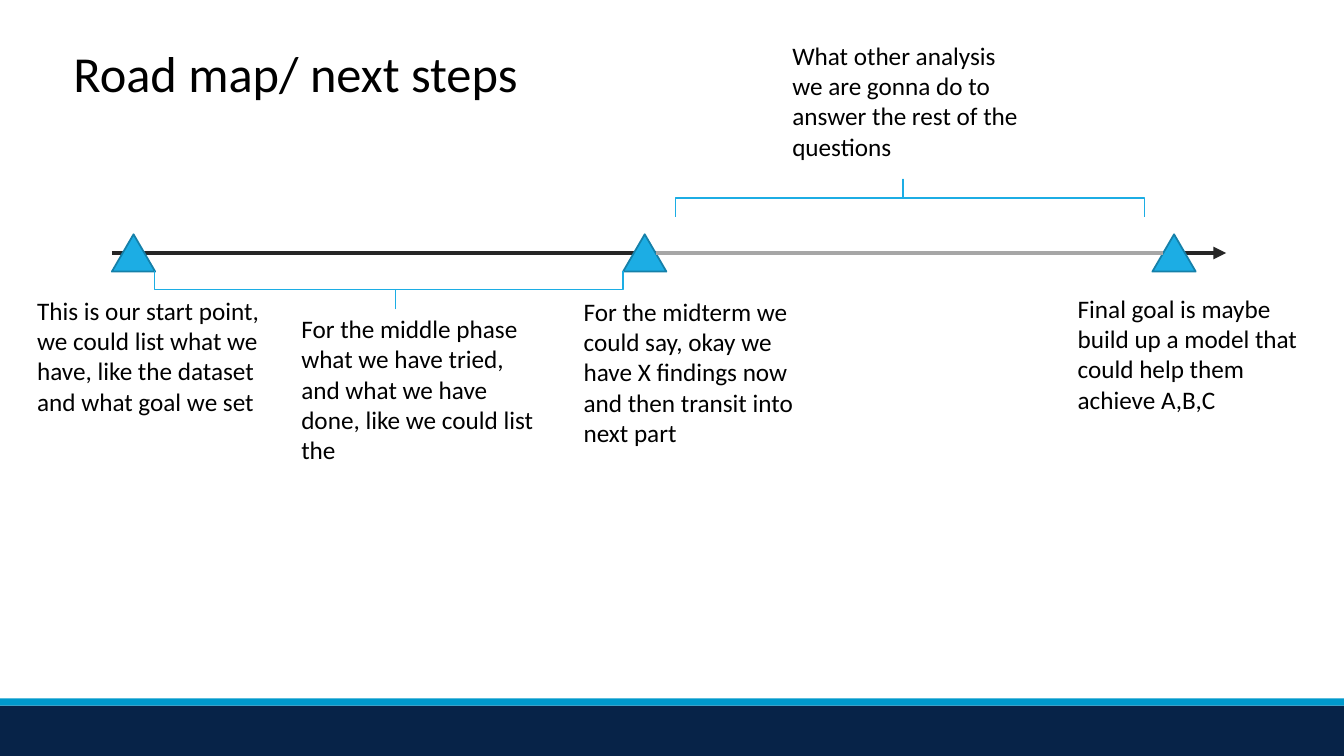
"""Build a road map slide with three milestones on a timeline."""
import pptx
import pptx.util
import pptx.dml.color
import pptx.enum.shapes
import pptx.oxml
import lxml.etree
from dataclasses import dataclass

TITLE = ("Road map/ next steps", 0.63, 0.37, 11.02, 0.71)
NOTES = [
    ("This is our start point, we could list what we have, like the dataset and what goal we set", 0.27, 2.88, 4),
    ("For the middle phase what we have tried, and what we have done, like we could list the", 2.89, 3.06, 5),
    ("For the midterm we could say, okay we have X findings now and then transit into next part", 5.69, 2.89, 5),
    ("Final goal is maybe build up a model that could help them achieve A,B,C", 10.59, 2.86, 4),
    ("What other analysis we are gonna do to answer the rest of the questions", 7.76, 0.35, 4),
]
MILESTONES = [1.11, 6.18, 11.43]
BRACES = [(3.855, 2.875, 90), (9.025, 1.965, 270)]
BANDS = [(7, 0.5, "navy"), (6.93, 0.07, "teal")]

WIDTH, HEIGHT = 13.33, 7.5
AXIS, AXIS_END = 2.51, 12.16
MARK_WIDTH, MARK_HEIGHT = 0.43, 0.37
BRACE_DEPTH, BRACE_SPAN = 0.37, 4.65
NOTE_WIDTH, LINE_HEIGHT, PADDING = 2.53, 0.303, 0.1


@dataclass(frozen=True)
class Theme:
    """Colours, font and type sizes of the slide."""
    navy: str = "072348"
    teal: str = "0099CC"
    accent: str = "1CADE4"
    edge: str = "1580A9"
    dark: str = "262626"
    grey: str = "A6A6A6"
    text: str = "000000"
    font: str = "Calibri"
    title_size: int = 36
    note_size: int = 18


THEME = Theme()
KIND = pptx.enum.shapes.MSO_SHAPE
inch = pptx.util.Inches


def colour(value):
    """Turn a hex string into a colour."""
    return pptx.dml.color.RGBColor.from_string(value)


def add_shape(page, kind, place, fill=None, line=None, weight=1):
    """Add a flat preset shape with an optional fill and outline."""
    shape = page.shapes.add_shape(kind, *map(inch, place))
    shape.shadow.inherit = False
    if fill:
        shape.fill.solid()
        shape.fill.fore_color.rgb = colour(fill)
    else:
        shape.fill.background()
    if line:
        shape.line.color.rgb = colour(line)
        shape.line.width = pptx.util.Pt(weight)
    else:
        shape.line.fill.background()
    return shape


def add_text(page, text, place, size):
    """Add a wrapping text box."""
    frame = page.shapes.add_textbox(*map(inch, place)).text_frame
    frame.word_wrap = True
    frame.text = text
    font = frame.paragraphs[0].runs[0].font
    font.name, font.size = THEME.font, pptx.util.Pt(size)
    font.color.rgb = colour(THEME.text)


def add_axis(page, start, end, line, arrow=False):
    """Add a horizontal stretch of the timeline."""
    straight = pptx.enum.shapes.MSO_CONNECTOR.STRAIGHT
    axis = page.shapes.add_connector(straight, inch(start), inch(AXIS), inch(end), inch(AXIS))
    axis.line.color.rgb = colour(line)
    axis.line.width = pptx.util.Pt(3)
    properties = axis._element.spPr
    if arrow:
        head = lxml.etree.SubElement(axis.line._get_or_add_ln(), pptx.oxml.ns.qn("a:tailEnd"))
        head.set("type", "triangle")
    lxml.etree.SubElement(properties, pptx.oxml.ns.qn("a:effectLst"))


def main():
    """Draw the slide and save it."""
    deck = pptx.Presentation()
    deck.slide_width, deck.slide_height = inch(WIDTH), inch(HEIGHT)
    page = deck.slides.add_slide(deck.slide_layouts[6])
    for top, height, name in BANDS:
        add_shape(page, KIND.RECTANGLE, (0, top, WIDTH, height), getattr(THEME, name))
    add_text(page, TITLE[0], TITLE[1:], THEME.title_size)
    add_axis(page, MILESTONES[0], AXIS_END, THEME.dark, arrow=True)
    for left in MILESTONES:
        place = (left, AXIS - MARK_HEIGHT / 2, MARK_WIDTH, MARK_HEIGHT)
        add_shape(page, KIND.ISOSCELES_TRIANGLE, place, THEME.accent, THEME.edge, 1.25)
    add_axis(page, MILESTONES[1] + MARK_WIDTH * 3 / 4, MILESTONES[2] + MARK_WIDTH / 4, THEME.grey)
    for centre, middle, turn in BRACES:
        place = (centre - BRACE_DEPTH / 2, middle - BRACE_SPAN / 2, BRACE_DEPTH, BRACE_SPAN)
        brace = add_shape(page, KIND.RIGHT_BRACE, place, line=THEME.accent)
        brace.adjustments[0], brace.adjustments[1] = 0, 0.485
        brace.rotation = turn
    for text, left, top, lines in NOTES:
        place = (left, top, NOTE_WIDTH, lines * LINE_HEIGHT + PADDING)
        add_text(page, text, place, THEME.note_size)
    deck.save("out.pptx")


if __name__ == "__main__":
    main()
